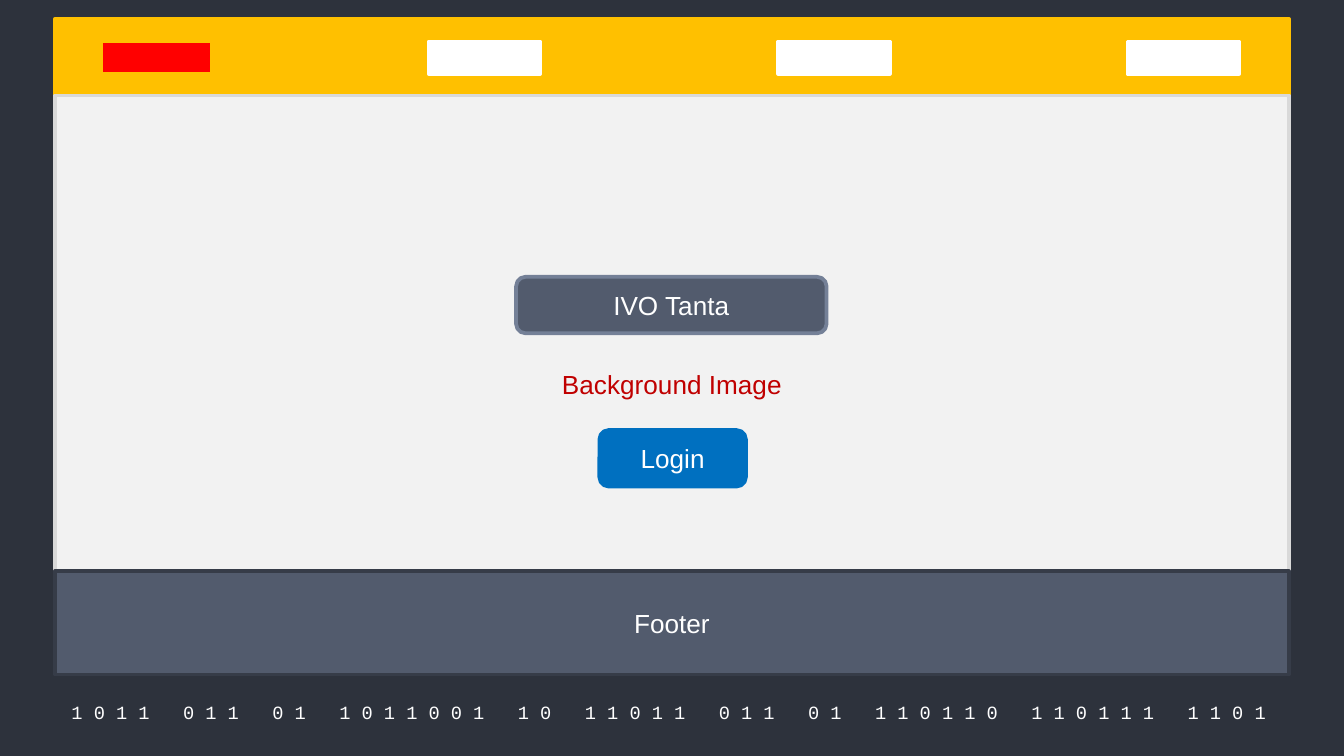
"""Build a web page wireframe slide with a navigation bar, a body and a footer."""
import pptx
import pptx.dml.color
import pptx.enum.shapes
import pptx.enum.text
import pptx.util

Inches = pptx.util.Inches
Pt = pptx.util.Pt
SHAPES = pptx.enum.shapes.MSO_SHAPE

COLORS = {
    "background": "2D323C", "white": "FFFFFF", "amber": "FFC000", "red": "FF0000",
    "body": "F2F2F2", "body_line": "D9D9D9", "dark_red": "C00000", "slate": "525B6D",
    "slate_line": "363C48", "badge_line": "748097", "blue": "0070C0",
}
BINARY = "1 0 1 1   0 1 1   0 1   1 0 1 1 0 0 1   1 0   1 1 0 1 1   0 1 1   0 1   1 1 0 1 1 0   1 1 0 1 1 1   1 1 0 1 "
SLIDE_WIDTH = 10
SLIDE_HEIGHT = SLIDE_WIDTH * 9 / 16
PAGE_LEFT, PAGE_WIDTH = 0.41, 9.18
LOGO_LEFT, FIRST_LINK_LEFT, LINK_STEP, LINK_COUNT = 0.75, 3.19, 2.6, 3
NAV_TOP, NAV_WIDTH, NAV_HEIGHT = 0.31, 0.83, 0.24

FRAME = ((0.43, 0.19, 9.14, 4.81), "background", "white", 0.75)
HEADER = ((PAGE_LEFT, 0.14, PAGE_WIDTH, 0.57), "amber", "amber")
LOGO = ((LOGO_LEFT, NAV_TOP, NAV_WIDTH, NAV_HEIGHT), "red", "amber")
LINKS = [
    ((FIRST_LINK_LEFT + index * LINK_STEP, NAV_TOP, NAV_WIDTH, NAV_HEIGHT), "white", "white")
    for index in range(LINK_COUNT)
]
SECTIONS = [
    ((PAGE_LEFT, 0.71, PAGE_WIDTH, 4.29), "body", "body_line", "Background Image", "dark_red", SHAPES.RECTANGLE),
    ((PAGE_LEFT, 4.25, PAGE_WIDTH, 0.77), "slate", "slate_line", "Footer", "white", SHAPES.RECTANGLE),
    ((3.84, 2.06, 2.31, 0.42), "slate", "badge_line", "IVO Tanta", "white", SHAPES.ROUNDED_RECTANGLE),
    ((4.46, 3.2, 1.09, 0.42), "blue", "blue", "Login", "white", SHAPES.ROUNDED_RECTANGLE),
]


def color(name):
    return pptx.dml.color.RGBColor.from_string(COLORS[name])


def set_attributes(target, values):
    for name, value in values.items():
        setattr(target, name, value)


def write_text(shape, text, color_name, size=14, font="Arial", frame_format=None):
    frame = shape.text_frame
    middle = {"word_wrap": True, "vertical_anchor": pptx.enum.text.MSO_ANCHOR.MIDDLE}
    set_attributes(frame, middle | (frame_format or {}))
    paragraph = frame.paragraphs[0]
    paragraph.alignment = pptx.enum.text.PP_ALIGN.CENTER
    run = paragraph.add_run()
    run.text = text
    set_attributes(run.font, {"size": Pt(size), "name": font})
    run.font.color.rgb = color(color_name)


def add_box(slide, place, fill, line, line_width=2, kind=SHAPES.RECTANGLE):
    shape = slide.shapes.add_shape(kind, *map(Inches, place))
    shape.shadow.inherit = False
    shape.fill.solid()
    shape.fill.fore_color.rgb = color(fill)
    shape.line.color.rgb = color(line)
    shape.line.width = Pt(line_width)
    return shape


def main():
    presentation = pptx.Presentation()
    size = {"slide_width": Inches(SLIDE_WIDTH), "slide_height": Inches(SLIDE_HEIGHT)}
    set_attributes(presentation, size)
    slide = presentation.slides.add_slide(presentation.slide_layouts[6])
    slide.background.fill.solid()
    slide.background.fill.fore_color.rgb = color("background")

    add_box(slide, *FRAME)
    binary_box = slide.shapes.add_textbox(*map(Inches, (0.38, 5.2, 9.27, 0.2)))
    margins = {f"margin_{side}": Inches(0.1) for side in ("left", "top", "right", "bottom")}
    write_text(binary_box, BINARY, "white", 10, "Courier New", margins)

    for box in [HEADER, LOGO, *LINKS]:
        add_box(slide, *box)
    for place, fill, line, text, text_color, kind in SECTIONS:
        write_text(add_box(slide, place, fill, line, kind=kind), text, text_color)

    presentation.save("out.pptx")


if __name__ == "__main__":
    main()
